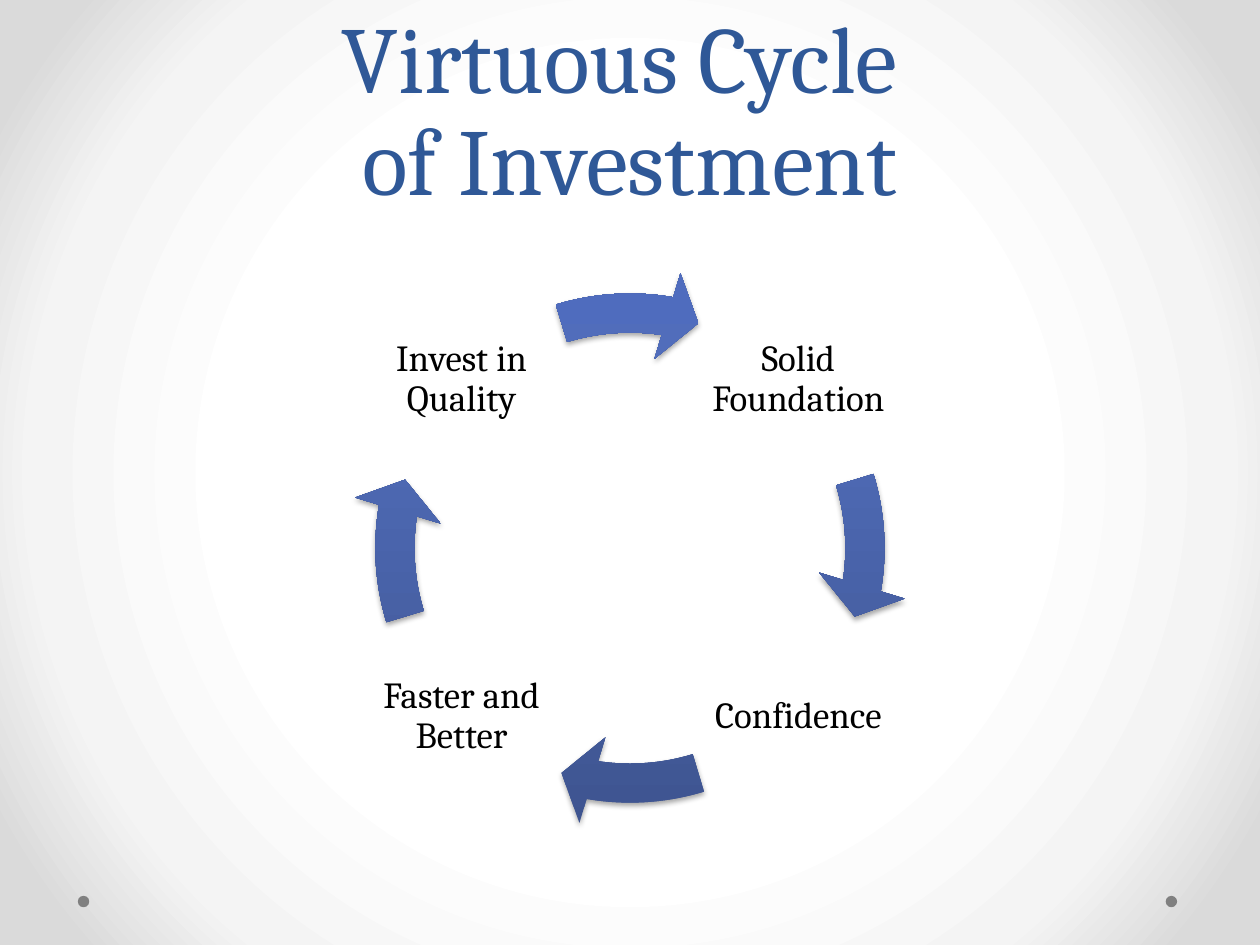
from lxml.etree import SubElement
from pptx import Presentation
from pptx.dml.color import RGBColor
from pptx.enum.shapes import MSO_SHAPE
from pptx.enum.text import MSO_ANCHOR, MSO_AUTO_SIZE, PP_ALIGN
from pptx.oxml import parse_xml
from pptx.oxml.ns import nsdecls, qn
from pptx.util import Cm, Pt


def color(code):
    return RGBColor.from_string(code)


def grade(stops, shade):
    marks = "".join(
        f'<a:gs pos="{pos * 1000}"><a:srgbClr val="{code}"/></a:gs>'
        for pos, code in stops
    )
    return parse_xml(
        f'<a:gradFill {nsdecls("a")} rotWithShape="1">'
        f"<a:gsLst>{marks}</a:gsLst>{shade}</a:gradFill>"
    )


class Deck:
    font = "Cambria"
    blue = [(0, "3E5490"), (80, "516DBB"), (100, "4F6CBE")]
    gray = [(50, "FFFFFF"), (76, "F4F4F4"), (92, "DADADA")]

    def __init__(self, show):
        self.slide = show.slides.add_slide(show.slide_layouts[5])
        self.shapes = self.slide.shapes

    def back(self):
        self.slide.background.fill.solid()
        base = self.slide.element.find(".//" + qn("p:bgPr"))
        shade = (
            '<a:path path="circle"><a:fillToRect l="50000" t="50000" '
            'r="50000" b="50000"/></a:path>'
        )
        base.replace(base[0], grade(self.gray, shade))

    def style(self, frame, size, code):
        frame.word_wrap = True
        frame.auto_size = MSO_AUTO_SIZE.NONE
        for line in frame.paragraphs:
            line.alignment = PP_ALIGN.CENTER
            for run in line.runs:
                run.font.name = self.font
                run.font.size = Pt(size)
                run.font.color.rgb = color(code)

    def title(self, text):
        box = self.shapes.title
        box.left, box.top, box.width, box.height = Cm(1.27), Cm(0), Cm(22.86), Cm(4.44)
        frame = box.text_frame
        frame.text = text
        frame.vertical_anchor = MSO_ANCHOR.BOTTOM
        frame.paragraphs[0].line_spacing = Pt(58)
        self.style(frame, 54, "2F5897")

    def dot(self, left):
        dot = self.shapes.add_shape(MSO_SHAPE.OVAL, Cm(left), Cm(18.06), Cm(0.23), Cm(0.23))
        dot.shadow.inherit = False
        dot.fill.solid()
        dot.fill.fore_color.rgb = color("808080")
        dot.line.fill.background()

    def label(self, text, left, top):
        box = self.shapes.add_textbox(Cm(left), Cm(top), Cm(3.99), Cm(3.99))
        frame = box.text_frame
        frame.text = text
        frame.vertical_anchor = MSO_ANCHOR.MIDDLE
        frame.margin_left = frame.margin_right = Cm(0.08)
        frame.margin_top = frame.margin_bottom = Cm(0.08)
        frame.paragraphs[0].line_spacing = 0.9
        self.style(frame, 21, "000000")

    def arrow(self, turn):
        arrow = self.shapes.add_shape(
            MSO_SHAPE.CIRCULAR_ARROW, Cm(7.06), Cm(5.41), Cm(11.28), Cm(11.28)
        )
        tip, tail = 5.51 + turn, (205.84 + turn) % 216
        for spot, value in enumerate((0.07, 4.65, tip, tail, 0.08)):
            arrow.adjustments[spot] = value
        arrow.line.fill.background()
        arrow.fill.solid()
        props = arrow.element.spPr
        fill = grade(self.blue, '<a:lin ang="16200000" scaled="0"/>')
        props.replace(props.find(qn("a:solidFill")), fill)
        arrow.shadow.inherit = False
        cast = SubElement(
            props.find(qn("a:effectLst")), qn("a:outerShdw"),
            blurRad=str(Pt(3.1)), dist=str(Pt(1.8)), dir="5400000", rotWithShape="0",
        )
        tint = SubElement(cast, qn("a:srgbClr"), val="000000")
        SubElement(tint, qn("a:alpha"), val="35000")


def main():
    show = Presentation()
    show.slide_width, show.slide_height = Cm(25.4), Cm(19.05)
    deck = Deck(show)
    deck.back()
    for left in (23.5, 1.57):
        deck.dot(left)
    deck.title("Virtuous Cycle \vof Investment")
    west, east, north, south = 7.31, 14.1, 5.66, 12.45
    steps = [
        ("Solid Foundation", east, north),
        ("Confidence", east, south),
        ("Faster and Better", west, south),
        ("Invest in Quality", west, north),
    ]
    for rank, step in enumerate(steps):
        deck.label(*step)
        deck.arrow(rank * 54)
    show.save("out.pptx")


if __name__ == "__main__":
    main()
